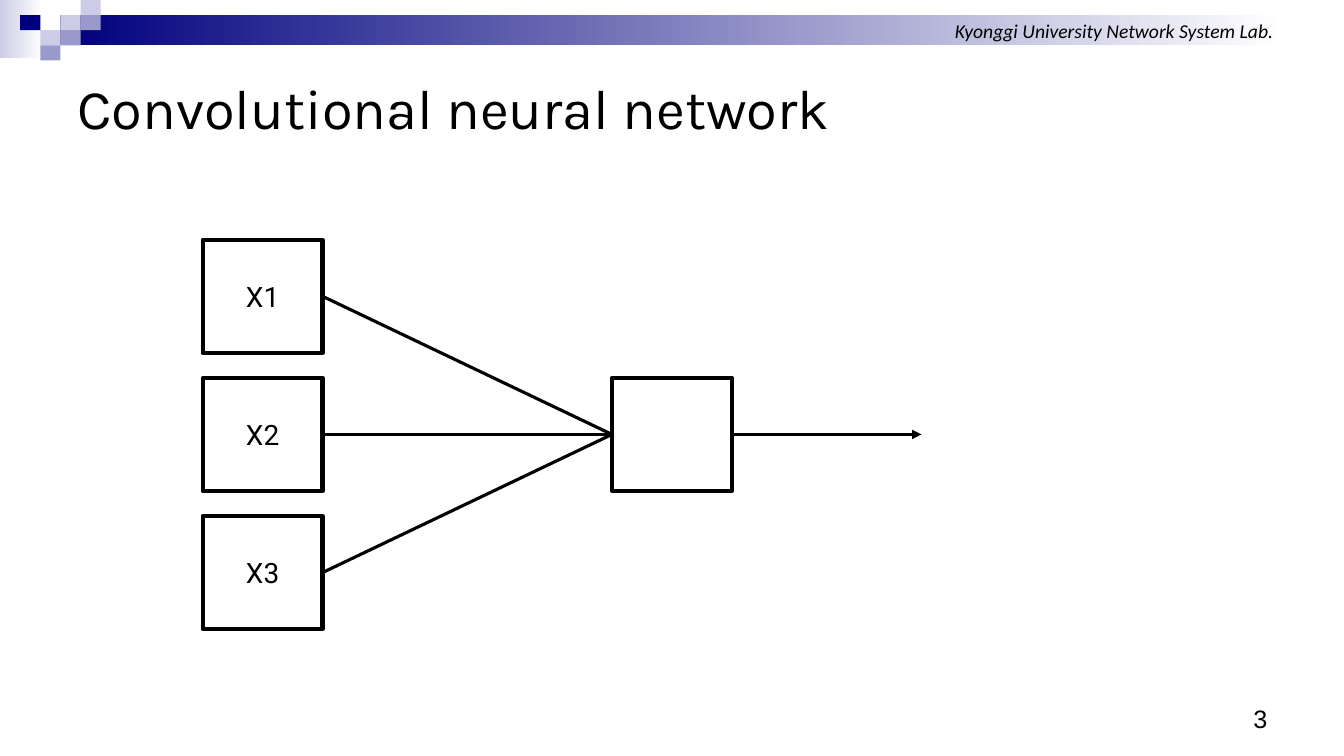
"""Build the slide on a convolutional neural network: three inputs, one neuron, one output."""
from lxml import etree
from pptx import Presentation, util as u
from pptx.dml.color import RGBColor
from pptx.enum import shapes, text
from pptx.oxml.ns import qn

BLACK = RGBColor(0x00, 0x00, 0x00)
WHITE = RGBColor(0xFF, 0xFF, 0xFF)
NAVY = RGBColor(0x00, 0x00, 0x7D)
MID = RGBColor(0x99, 0x99, 0xCC)
PALE = RGBColor(0xCC, 0xCC, 0xE6)

HEADING = "Convolutional neural network"
LAB = "Kyonggi University Network System Lab."
PAGE = "3"
INPUTS = ["X1", "X2", "X3"]
MOSAIC = [(3, 1, PALE), (4, 0, PALE), (4, 1, MID), (2, 2, PALE),
          (1, 1, NAVY), (3, 2, MID), (2, 3, MID)]

WIDTH, HEIGHT = 13.33, 7.5
TILE_W, TILE_H = 0.2, 0.15
NODE_W, NODE_H, NODE_PITCH = 1.19, 1.12, 1.37
INPUT_LEFT, NEURON_LEFT, NODE_TOP = 2.01, 6.07, 2.38
OUTPUT_END = 9.14

RIGHT, CENTER, LEFT = text.PP_ALIGN.RIGHT, text.PP_ALIGN.CENTER, text.PP_ALIGN.LEFT
MIDDLE, BOTTOM = text.MSO_ANCHOR.MIDDLE, text.MSO_ANCHOR.BOTTOM


def write(holder, words, font, size, align=CENTER, anchor=MIDDLE, italic=False):
    frame = holder.text_frame
    frame.word_wrap = True
    frame.auto_size = text.MSO_AUTO_SIZE.NONE
    frame.vertical_anchor = anchor
    line = frame.paragraphs[0]
    line.alignment = align
    run = line.add_run()
    run.text = words
    run.font.name, run.font.size = font, u.Pt(size)
    run.font.italic = italic
    run.font.color.rgb = BLACK


def box(slide, left, top, width, height, fill=None, fade=None, outline=None):
    rect = slide.shapes.add_shape(shapes.MSO_SHAPE.RECTANGLE,
                                  *map(u.Inches, (left, top, width, height)))
    rect.shadow.inherit = False
    if fade:
        rect.fill.gradient()
        rect.fill.gradient_angle = 0
        for stop, color, position in zip(rect.fill.gradient_stops, (fade, WHITE), (0, 1)):
            stop.color.rgb, stop.position = color, position
    elif fill:
        rect.fill.solid()
        rect.fill.fore_color.rgb = fill
    else:
        rect.fill.background()
    if outline:
        rect.line.color.rgb, rect.line.width = BLACK, u.Pt(outline)
    else:
        rect.line.fill.background()
    return rect


def link(slide, source, target=None):
    middle = source.top + source.height // 2
    wire = slide.shapes.add_connector(shapes.MSO_CONNECTOR.STRAIGHT,
                                      source.left + source.width, middle,
                                      u.Inches(OUTPUT_END), middle)
    wire.begin_connect(source, 3)
    if target:
        wire.end_connect(target, 1)
    wire.line.color.rgb, wire.line.width = BLACK, u.Pt(2.25)
    etree.SubElement(wire.element.spPr, qn("a:effectLst"))
    return wire


def main():
    deck = Presentation()
    deck.slide_width, deck.slide_height = u.Inches(WIDTH), u.Inches(HEIGHT)
    slide = deck.slides.add_slide(deck.slide_layouts[5])

    box(slide, 0, 0, 0.42, 0.58, fade=PALE)
    banner = box(slide, 3 * TILE_W, TILE_H, 12.13, 2 * TILE_H, fade=NAVY)
    write(banner, LAB, "Calibri", 14, align=RIGHT, italic=True)
    for column, row, color in MOSAIC:
        box(slide, column * TILE_W, row * TILE_H, TILE_W, TILE_H, fill=color)

    heading = slide.shapes.title
    heading.left, heading.top, heading.width, heading.height = map(
        u.Inches, (0.67, 0.5, 12, 1.12))
    write(heading, HEADING, "Karla", 40, align=LEFT)

    inputs = []
    for row, name in enumerate(INPUTS):
        node = box(slide, INPUT_LEFT, NODE_TOP + row * NODE_PITCH, NODE_W, NODE_H, outline=3)
        write(node, name, "Roboto", 20)
        inputs.append(node)
    neuron = box(slide, NEURON_LEFT, NODE_TOP + NODE_PITCH, NODE_W, NODE_H, outline=3)

    for node in inputs:
        link(slide, node, neuron)
    output = link(slide, neuron)
    etree.SubElement(output.line._get_or_add_ln(), qn("a:tailEnd"), type="triangle")

    page = slide.shapes.add_textbox(*map(u.Inches, (9.56, 6.83, 3.11, 0.5)))
    write(page, PAGE, "Arial", 18, align=RIGHT, anchor=BOTTOM)
    deck.save("out.pptx")


if __name__ == "__main__":
    main()
